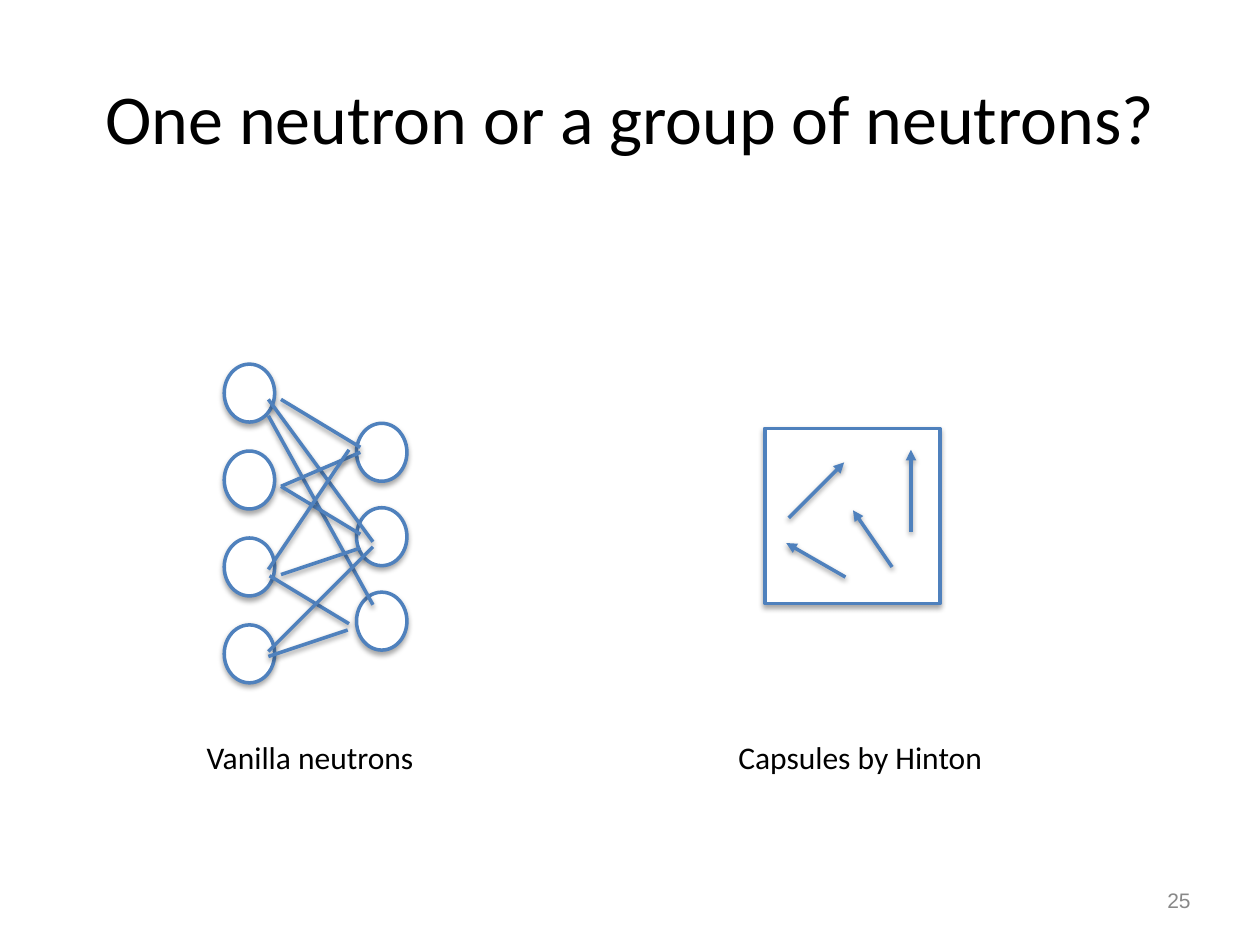
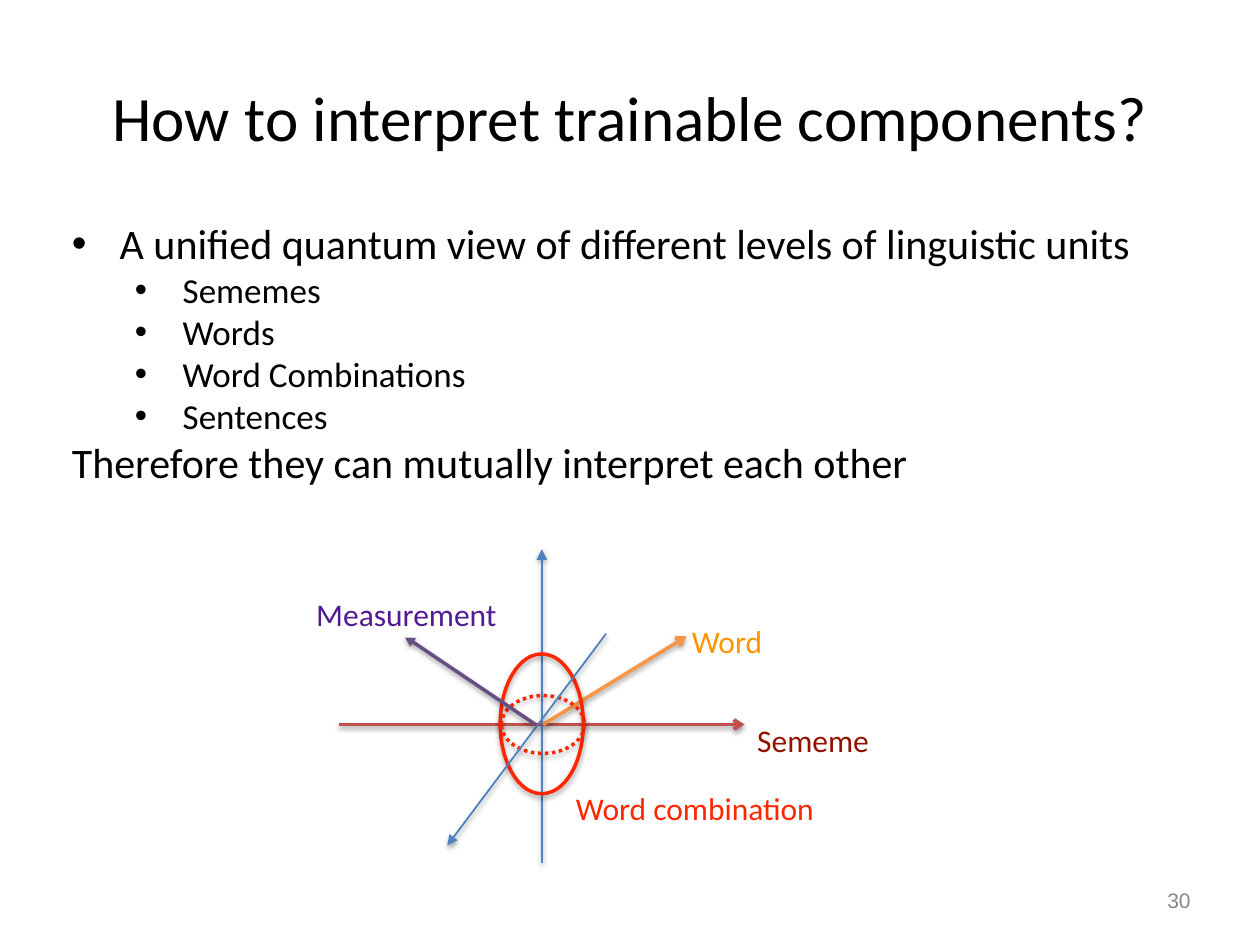
from dataclasses import dataclass
from pptx import Presentation
from pptx.dml.color import RGBColor as RGB
from pptx.enum.dml import MSO_LINE as Dash
from pptx.enum.shapes import MSO_CONNECTOR as Conn, MSO_SHAPE as Kind
from pptx.enum.text import MSO_ANCHOR as Anchor, MSO_AUTO_SIZE as Auto, PP_ALIGN as Align
from pptx.oxml import parse_xml
from pptx.oxml.ns import nsdecls, qn
from pptx.util import Inches, Pt


@dataclass(frozen=True)
class Theme:
    face: str = "Calibri"
    num_face: str = "Arial"
    ink: str = "000000"
    paper: str = "FFFFFF"
    gray: str = "888888"
    blue: str = "4F81BD"
    red: str = "C0504D"
    maroon: str = "941100"
    orange: str = "F79646"
    amber: str = "FF9300"
    scarlet: str = "FF2600"
    plum: str = "665082"
    violet: str = "531B93"
    label: float = 18
    number: float = 12
    levels: tuple = (24, 20)
    thick: float = 2
    thin: float = 1
    inset: float = 0.05


T = Theme()
WIDE, HIGH = 10, 7.5

# Slide 1: network layers (left, top, step, count), links and capsule arrows
NET_TITLE = ("One neutron or a group of neutrons?", 40, 25)
NODE = (0.4, 0.46)
LAYERS = [(1.78, 2.89, 0.69, 4), (2.83, 3.36, 0.67, 3)]
LINKS = [
    (2.23, 3.17, 2.86, 3.55), (2.13, 3.17, 2.96, 4.3), (2.13, 3.3, 2.96, 4.8),
    (2.23, 3.86, 2.86, 3.59), (2.23, 3.86, 2.86, 4.24),
    (2.13, 4.52, 2.77, 3.57), (2.23, 4.56, 2.86, 4.35), (2.14, 4.57, 2.77, 4.95),
    (2.13, 5.17, 2.96, 4.34), (2.13, 5.21, 2.76, 5),
]
CAPSULE = (6.07, 3.4, 1.39, 1.39)
VECTORS = [(6.26, 4.11, 6.7, 3.67), (7.23, 4.22, 7.23, 3.57),
           (6.71, 4.58, 6.24, 4.31), (7.08, 4.5, 6.77, 4.05)]
NET_TAGS = [("Vanilla neutrons", 1.59, 5.81, 1.91, T.ink),
            ("Capsules by Hinton", 5.81, 5.81, 2.24, T.ink)]

# Slide 2: outline (text, level, bullet), axes and ellipses
VIEW_TITLE = ("How to interpret trainable components?", 36.1, 30)
OUTLINE = [
    ("A unified quantum view of different levels of linguistic units", 0, True),
    ("Sememes", 1, True),
    ("Words", 1, True),
    ("Word Combinations", 1, True),
    ("Sentences", 1, True),
    ("Therefore they can mutually interpret each other", 0, False),
]
AXES = [
    ((2.69, 5.75, 5.91, 5.75), T.red, T.thick, "arrow"),
    ((4.3, 6.85, 4.3, 4.36), T.blue, T.thin, "triangle"),
    ((4.31, 5.75, 5.45, 5.05), T.orange, T.thick, "arrow"),
]
FRONT = [
    ((4.81, 5.03, 3.55, 6.71), T.blue, T.thin, "triangle"),
    ((4.25, 5.75, 3.21, 5.05), T.plum, T.thick, "triangle"),
]
LOOP = (3.97, 5.19, 0.66, 1.11)
RING = (3.98, 5.52, 0.66, 0.46)
VIEW_TAGS = [("Sememe", 5.96, 5.67, 1.06, T.maroon),
             ("Word", 5.44, 4.89, 0.69, T.amber),
             ("Word combination", 4.52, 6.21, 2.15, T.scarlet)]
MEASURE = ("Measurement", 2.46, 4.67, 1.61, T.violet)


def inch(*vals):
    return [Inches(v) for v in vals]


def shade(part, dist, alpha):
    part._element.spPr.append(parse_xml(
        f'<a:effectLst {nsdecls("a")}><a:outerShdw blurRad="{Pt(3)}" dist="{Pt(dist)}" '
        f'dir="5400000" rotWithShape="0"><a:srgbClr val="000000">'
        f'<a:alpha val="{alpha}000"/></a:srgbClr></a:outerShdw></a:effectLst>'))


def stroke(part, color, width):
    part.line.color.rgb = RGB.from_string(color)
    part.line.width = Pt(width)


def draw_line(slide, ends, color=T.blue, width=T.thick, tip=None):
    line = slide.shapes.add_connector(Conn.STRAIGHT, *inch(*ends))
    stroke(line, color, width)
    if tip:
        line._element.spPr.find(qn("a:ln")).append(
            parse_xml(f'<a:tailEnd {nsdecls("a")} type="{tip}"/>'))
    shade(line, 1.6, 38)


def draw_shape(slide, kind, area, color=T.blue, fill=None, dash=None):
    shape = slide.shapes.add_shape(kind, *inch(*area))
    if fill:
        shape.fill.solid()
        shape.fill.fore_color.rgb = RGB.from_string(fill)
    else:
        shape.fill.background()
    stroke(shape, color, T.thick)
    if dash:
        shape.line.dash_style = dash
    shade(shape, 1.8, 35)


def style(para, size, color=T.ink, face=T.face):
    for run in para.runs:
        run.font.size, run.font.name = Pt(size), face
        run.font.color.rgb = RGB.from_string(color)


def add_box(slide, area, wrap=True, anchor=Anchor.TOP):
    box = slide.shapes.add_textbox(*inch(*area))
    frame = box.text_frame
    frame.word_wrap, frame.vertical_anchor = wrap, anchor
    if not wrap:
        frame.auto_size = Auto.SHAPE_TO_FIT_TEXT
    frame.margin_left = frame.margin_right = Inches(T.inset)
    frame.margin_top = frame.margin_bottom = Inches(T.inset)
    return box


def add_tag(slide, text, left, top, width, color):
    box = add_box(slide, (left, top, width, 0.39), wrap=False)
    box.text_frame.text = text
    style(box.text_frame.paragraphs[0], T.label, color)
    return box


def add_page(deck, title, size, number):
    slide = deck.slides.add_slide(deck.slide_layouts[6])
    head = add_box(slide, (0.5, 0.3, WIDE - 1, 1.25), anchor=Anchor.MIDDLE)
    foot = add_box(slide, (9.21, 7, 0.29, 0.29), False, Anchor.MIDDLE)
    for box, text, align, look in (
            (head, title, Align.CENTER, (size,)),
            (foot, str(number), Align.RIGHT, (T.number, T.gray, T.num_face))):
        box.text_frame.text = text
        para = box.text_frame.paragraphs[0]
        para.alignment = align
        style(para, *look)
    return slide


def add_list(slide, rows, area):
    frame = add_box(slide, area).text_frame
    frame.text = "\n".join(text for text, _, _ in rows)
    for para, (_, level, dot) in zip(frame.paragraphs, rows):
        para.level = level
        if dot:
            props = para._p.get_or_add_pPr()
            props.set("marL", str(Inches(0.38 + 0.5 * level)))
            props.set("indent", str(Inches(-0.38)))
            for tag in ('buFont typeface="Arial"', 'buChar char="•"'):
                props.append(parse_xml(f'<a:{tag} {nsdecls("a")}/>'))
        style(para, T.levels[level])


def net_slide(deck):
    slide = add_page(deck, *NET_TITLE)
    # Capsule
    draw_shape(slide, Kind.RECTANGLE, CAPSULE, fill=T.paper)
    for ends in VECTORS:
        draw_line(slide, ends, tip="triangle")
    # Network
    for left, top, step, count in LAYERS:
        for i in range(count):
            draw_shape(slide, Kind.OVAL, (left, top + i * step, *NODE), fill=T.paper)
    for ends in LINKS:
        draw_line(slide, ends)
    for tag in NET_TAGS:
        add_tag(slide, *tag)


def view_slide(deck):
    slide = add_page(deck, *VIEW_TITLE)
    add_list(slide, OUTLINE, (0.52, 1.68, 9.29, 2.54))
    # Axes and ellipses, back to front
    for axis in AXES:
        draw_line(slide, *axis)
    draw_shape(slide, Kind.OVAL, LOOP, T.scarlet)
    for tag in VIEW_TAGS:
        add_tag(slide, *tag)
    draw_shape(slide, Kind.OVAL, RING, T.scarlet, dash=Dash.ROUND_DOT)
    for axis in FRONT:
        draw_line(slide, *axis)
    # Label on a white ground
    box = add_tag(slide, *MEASURE)
    box.fill.solid()
    box.fill.fore_color.rgb = RGB.from_string(T.paper)


def main():
    deck = Presentation()
    deck.slide_width, deck.slide_height = inch(WIDE, HIGH)
    net_slide(deck)
    view_slide(deck)
    deck.save("out.pptx")


if __name__ == "__main__":
    main()
